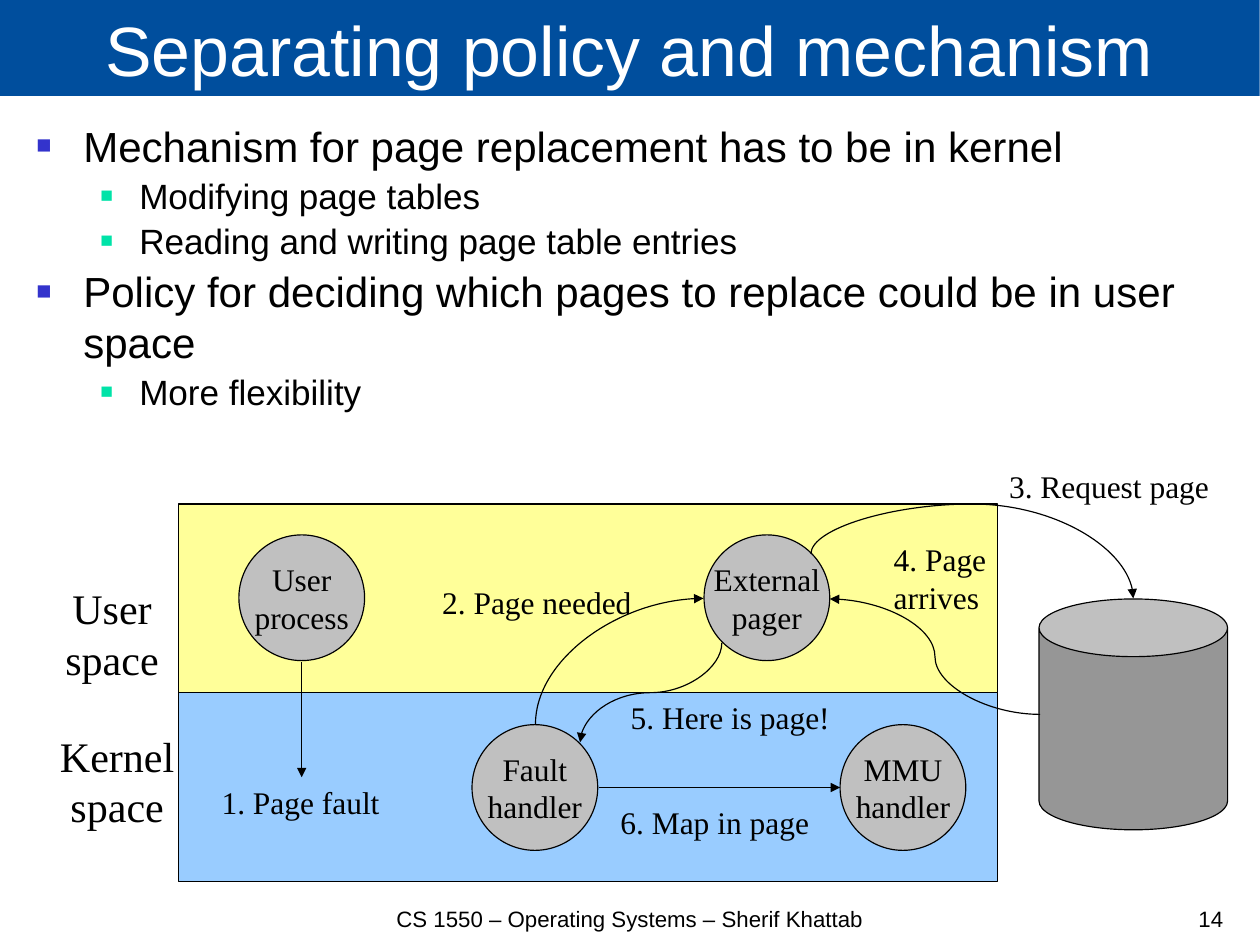
from lxml.etree import SubElement
from pptx import Presentation
from pptx.dml.color import RGBColor
from pptx.enum.shapes import MSO_CONNECTOR as Link, MSO_SHAPE as Shape
from pptx.enum.text import MSO_ANCHOR as Anchor, MSO_AUTO_SIZE as Fit, PP_ALIGN as Align
from pptx.oxml.ns import qn
from pptx.util import Inches, Pt

BLACK = RGBColor(0x00, 0x00, 0x00)
WHITE = RGBColor(0xFF, 0xFF, 0xFF)
TITLE_BLUE = RGBColor(0x00, 0x4E, 0x9D)
USER_YELLOW = RGBColor(0xFF, 0xFF, 0x99)
KERNEL_BLUE = RGBColor(0x99, 0xCC, 0xFF)
NODE_GRAY = RGBColor(0xC0, 0xC0, 0xC0)
DISK_GRAY = RGBColor(0x96, 0x96, 0x96)
BULLET_BLUE = RGBColor(0x33, 0x33, 0xCC)
BULLET_GREEN = RGBColor(0x00, 0xE3, 0xA8)
SANS, SERIF = "Arial", "Times New Roman"
CM_PER_INCH = 2.54

# Per level: text size, left margin, first-line indent, bullet colour
LEVELS = [(26.5, 0.41, -0.41, BULLET_BLUE), (22.1, 0.9, -0.34, BULLET_GREEN)]
BULLETS = [
    (0, "Mechanism for page replacement has to be in kernel"),
    (1, "Modifying page tables"),
    (1, "Reading and writing page table entries"),
    (0, "Policy for deciding which pages to replace could be in user space"),
    (1, "More flexibility"),
]
NODE = 1.1
NODES = [  # centre relative to the diagram's corner
    ("User\nprocess", 1.08, 0.82),
    ("External\npager", 5.15, 0.82),
    ("Fault\nhandler", 3.12, 2.48),
    ("MMU\nhandler", 6.34, 2.48),
]
LABELS = [  # left, top, width, height relative to the diagram's corner
    ("1. Page fault", 0.28, 2.39, 1.6, 0.43),
    ("2. Page needed", 2.21, 0.64, 1.87, 0.43),
    ("3. Request page", 7.17, -0.37, 1.97, 0.43),
    ("4. Page\narrives", 6.16, 0.27, 1.02, 0.77),
    ("5. Here is page!", 3.86, 1.65, 1.96, 0.43),
    ("6. Map in page", 3.77, 2.57, 1.87, 0.43),
]
STRAIGHT_ARROWS = [(1.08, 1.38, 1.08, 2.39), (3.68, 2.48, 5.79, 2.48)]
CURVED_ARROWS = [  # preset, left, top, width, height, rotation, flipped, bend
    ("curvedConnector2", 3.31, 0.64, 1.1, 1.47, 270, False, None),
    ("curvedConnector3", 3.7, 1.03, 0.87, 1.24, 90, False, 0.5),
    ("curvedConnector3", 6.75, -0.78, 0.39, 2.82, 90, True, -1.118),
    ("curvedConnector3", 5.7, 0.83, 1.84, 1.01, 180, False, 0.5),
]


def set_values(target, values):
    for name, value in values.items():
        setattr(target, name, value)


def write(para, text, size, font, color=BLACK, align=Align.LEFT):
    para.text = text
    para.alignment = align
    for span in para.runs:
        set_values(span.font, {"size": Pt(size), "name": font})
        span.font.color.rgb = color


def add_text(page, box, text, size, font, align=Align.LEFT, **frame_values):
    frame = page.shapes.add_textbox(*map(Inches, box)).text_frame
    set_values(frame, {"word_wrap": True, **frame_values})
    write(frame.paragraphs[0], text, size, font, align=align)


def add_block(page, preset, box, fill, outlined=True):
    block = page.shapes.add_shape(preset, *map(Inches, box))
    block.shadow.inherit = False
    block.fill.solid()
    block.fill.fore_color.rgb = fill
    if outlined:
        block.line.color.rgb = BLACK
        block.line.width = Pt(0.75)
    else:
        block.line.fill.background()
    return block


def add_arrow(page, kind, ends):
    arrow = page.shapes.add_connector(kind, *map(Inches, ends))
    arrow.line.color.rgb = BLACK
    arrow.line.width = Pt(0.75)
    outline = arrow.element.spPr.find(qn("a:ln"))
    SubElement(outline, qn("a:tailEnd"), type="triangle")
    SubElement(arrow.element.spPr, qn("a:effectLst"))
    return arrow


def add_curve(page, preset, box, rotation, flipped, bend):
    left, top, width, height = box
    curve = add_arrow(page, Link.CURVE, (left, top, left + width, top + height))
    frame = curve.element.spPr.find(qn("a:xfrm"))
    frame.set("rot", str(rotation * 60000))
    if flipped:
        frame.set("flipV", "1")
    geometry = curve.element.spPr.find(qn("a:prstGeom"))
    geometry.set("prst", preset)
    if bend is not None:
        guides = geometry.find(qn("a:avLst"))
        SubElement(guides, qn("a:gd"), name="adj1", fmla=f"val {round(bend * 100000)}")


def add_title(page, box):
    bar = add_block(page, Shape.RECTANGLE, box, TITLE_BLUE, outlined=False)
    bar.text_frame.vertical_anchor = Anchor.BOTTOM
    write(bar.text_frame.paragraphs[0], "Separating policy and mechanism",
          44, SANS, WHITE, Align.CENTER)


def add_bullets(page, box):
    frame = page.shapes.add_textbox(*map(Inches, box)).text_frame
    frame.word_wrap = True
    for index, (level, text) in enumerate(BULLETS):
        para = frame.add_paragraph() if index else frame.paragraphs[0]
        size, margin, indent, color = LEVELS[level]
        write(para, text, size, SANS)
        para.level = level
        props = para._p.get_or_add_pPr()
        props.set("marL", str(Inches(margin)))
        props.set("indent", str(Inches(indent)))
        SubElement(SubElement(props, qn("a:spcBef")), qn("a:spcPct"), val="10000")
        SubElement(SubElement(props, qn("a:buClr")), qn("a:srgbClr"), val=str(color))
        SubElement(props, qn("a:buSzPct"), val="60000")
        SubElement(props, qn("a:buFont"), typeface=SANS)
        SubElement(props, qn("a:buChar"), char="■")


def add_diagram(page, box):
    left, top, width, height = box
    half = height / 2

    # Address spaces and their names
    for row, fill in enumerate((USER_YELLOW, KERNEL_BLUE)):
        add_block(page, Shape.RECTANGLE, (left, top + row * half, width, half), fill)
    for text, offset, name_width in (("User\nspace", 0.64, 1.22), ("Kernel\nspace", 1.93, 1.31)):
        add_text(page, (left - 1.19, top + offset, name_width, 0.99), text, 26.5, SERIF,
                 Align.CENTER, auto_size=Fit.SHAPE_TO_FIT_TEXT)

    # Processes and disk
    for text, x, y in NODES:
        corner = (left + x - NODE / 2, top + y - NODE / 2)
        node = add_block(page, Shape.OVAL, (*corner, NODE, NODE), NODE_GRAY)
        set_values(node.text_frame, {"word_wrap": False, "vertical_anchor": Anchor.MIDDLE})
        write(node.text_frame.paragraphs[0], text, 19.8, SERIF, align=Align.CENTER)
    disk = add_block(page, Shape.CAN, (left + 7.53, top + 0.83, 1.65, 2.02), DISK_GRAY)
    disk.adjustments[0] = 0.306

    # Numbered steps
    for text, x, y, *size in LABELS:
        add_text(page, (left + x, top + y, *size), text, 19.8, SERIF,
                 word_wrap=False, auto_size=Fit.SHAPE_TO_FIT_TEXT)
    for x1, y1, x2, y2 in STRAIGHT_ARROWS:
        add_arrow(page, Link.STRAIGHT, (left + x1, top + y1, left + x2, top + y2))
    for preset, x, y, w, h, *turn in CURVED_ARROWS:
        add_curve(page, preset, (left + x, top + y, w, h), *turn)


def add_footer(page, box):
    left, top, width, height = box
    number_width = 0.46
    add_text(page, (left, top, 6.52, height), "CS 1550 – Operating Systems – Sherif Khattab",
             14, SANS, Align.CENTER, vertical_anchor=Anchor.BOTTOM)
    add_text(page, (left + width - number_width, top, number_width, height), "14",
             14, SANS, Align.RIGHT, vertical_anchor=Anchor.BOTTOM)


def main():
    deck = Presentation()
    deck.slide_width = Inches(28 / CM_PER_INCH)
    deck.slide_height = Inches(21 / CM_PER_INCH)
    page = deck.slides.add_slide(deck.slide_layouts[6])
    add_title(page, (0, -0.01, 11.02, 0.85))
    add_bullets(page, (0.22, 1, 10.58, 6.72))
    add_diagram(page, (1.56, 4.41, 7.17, 3.3))
    add_footer(page, (2.25, 7.9, 8.55, 0.3))
    deck.save("out.pptx")


if __name__ == "__main__":
    main()
